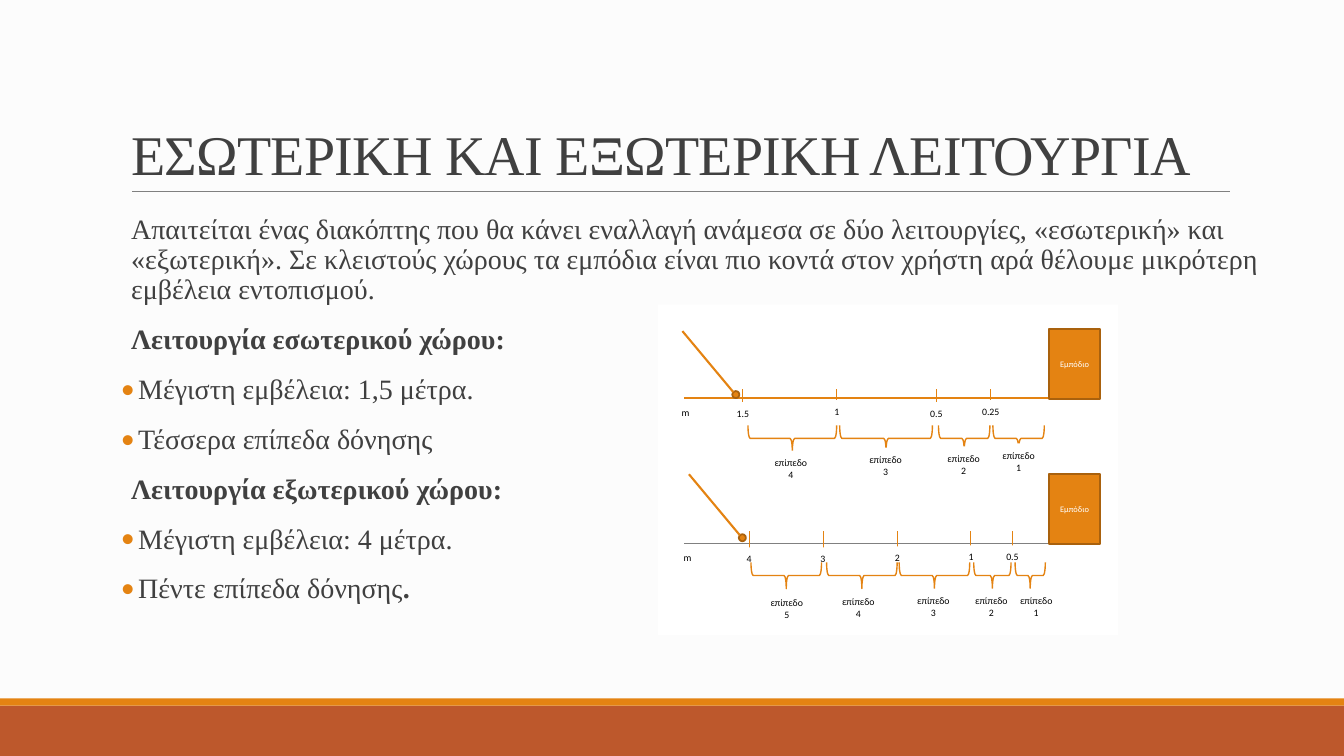
from lxml import etree
from pptx import Presentation
from pptx import util as u
from pptx.dml.color import RGBColor
from pptx.enum import shapes, text
from pptx.oxml.ns import qn

UNIT = u.Inches(0.1)  # one grid column or row
COLS, ROWS = 133.33, 75
ORANGE, BROWN, RUST = "E48312", "A9610D", "BD582C"
GREY, DARK, WHITE, BLACK = "808080", "404040", "FFFFFF", "000000"
SERIF, SANS = "Times New Roman", "Calibri"
KIND = shapes.MSO_SHAPE


def grid(*cells):
    return [round(c * UNIT) for c in cells]


def tint(code):
    return RGBColor.from_string(code)


class Board:
    """Holds the style and the current slide."""

    def __init__(self, deck):
        self.slide = deck.slides.add_slide(deck.slide_layouts[5])
        back = self.slide.background.fill
        back.solid()
        back.fore_color.rgb = tint("FCFCFC")

    def font(self, par, size, face, color, bold=False):
        font = par.font
        font.size, font.name, font.bold = u.Pt(size), face, bold
        font.color.rgb = tint(color)

    def title(self, words, box):
        head = self.slide.shapes.title
        head.left, head.top, head.width, head.height = grid(*box)
        frame = head.text_frame
        frame.text = words
        frame.word_wrap = True
        frame.auto_size = text.MSO_AUTO_SIZE.NONE
        frame.vertical_anchor = text.MSO_ANCHOR.BOTTOM
        par = frame.paragraphs[0]
        par.alignment, par.line_spacing = text.PP_ALIGN.LEFT, 0.85
        self.font(par, 40, SERIF, DARK)
        par.runs[0].font._element.set("spc", "-50")

    def body(self, items, box):
        frame = self.slide.shapes.add_textbox(*grid(*box)).text_frame
        frame.word_wrap = True
        frame.margin_left = frame.margin_right = 0
        for i, (words, style) in enumerate(items):
            par = frame.add_paragraph() if i else frame.paragraphs[0]
            par.line_spacing = 0.9
            par.space_before, par.space_after = u.Pt(12), u.Pt(2)
            self.font(par, 20, SERIF, DARK, style == "head")
            par.add_run().text = words
            props = par._p.get_or_add_pPr()
            props.set("marL", str(u.Inches(0.17 if style == "item" else 0.1)))
            if style == "item":
                props.set("indent", str(-u.Inches(0.17)))
                # The bullet goes ahead of the default run properties
                spot = props.find(qn("a:defRPr"))
                color = etree.Element(qn("a:buClr"))
                etree.SubElement(color, qn("a:srgbClr"), val=ORANGE)
                spot.addprevious(color)
                spot.addprevious(etree.Element(qn("a:buFont"), typeface=SANS))
                spot.addprevious(etree.Element(qn("a:buChar"), char="•"))
        return frame

    def shape(self, kind, box, fill=None, line=None, width=1.25):
        item = self.slide.shapes.add_shape(kind, *grid(*box))
        item.shadow.inherit = False
        if fill:
            item.fill.solid()
            item.fill.fore_color.rgb = tint(fill)
        else:
            item.fill.background()
        if line:
            item.line.color.rgb = tint(line)
            item.line.width = u.Pt(width)
        else:
            item.line.fill.background()
        return item

    def label(self, words, box, size=7, color=BLACK, fill=WHITE, line=None,
              mid=False, pad=(1, 0)):
        item = self.shape(KIND.RECTANGLE, box, fill, line)
        frame = item.text_frame
        frame.word_wrap = True
        frame.margin_left, frame.margin_right = grid(*pad)
        frame.margin_bottom = frame.margin_top if line else 0
        frame.vertical_anchor = text.MSO_ANCHOR.MIDDLE if line else text.MSO_ANCHOR.TOP
        frame.text = words
        par = frame.paragraphs[0]
        par.alignment = text.PP_ALIGN.CENTER if mid else text.PP_ALIGN.LEFT
        par.line_spacing, par.space_after = 1.07, u.Pt(8)
        self.font(par, size, SANS, color)

    def line(self, ends, color, width):
        link = self.slide.shapes.add_connector(
            shapes.MSO_CONNECTOR.STRAIGHT, *grid(*ends))
        link.line.color.rgb = tint(color)
        link.line.width = u.Pt(width)
        etree.SubElement(link._element.spPr, qn("a:effectLst"))

    def brace(self, left, right, top, deep=2.6):
        span = right - left
        box = ((left + right - deep) / 2, top + (deep - span) / 2, deep, span)
        self.shape(KIND.RIGHT_BRACE, box, line=ORANGE, width=1).rotation = 90

    def range(self, axis, look, rise, dot, marks, spans, unit):
        """Draws a cane, its distance axis and the vibration levels."""
        self.line((67.9, axis, 104.05, axis), *look)
        self.label("Εμπόδιο", (104.05, axis - 6.85, 5.1, 6.9), 6, WHITE,
                   ORANGE, BROWN, True, (0, 0))
        for x, *_ in marks:
            self.line((x, axis - rise, x, axis - rise + 1.8), ORANGE, 0.75)
        for _, words, left, top, wide in marks:
            self.label(words, (left, top, wide, 2.1))
        x, y = dot
        self.shape(KIND.OVAL, (x, y, 0.7, 0.7), ORANGE, BROWN)
        self.line((x + 0.1, y + 0.1, x - 4.95, y - 5.95), ORANGE, 1.5)
        for left, right, *_ in spans:
            self.brace(left, right, axis + (2.7 if axis < 50 else 1.9))
        for i, (_, _, mid, top) in enumerate(spans):
            level = len(spans) - i
            self.label(f"επίπεδο {level}", (mid - 2.2, top, 4.4, 3.4),
                       mid=True, pad=(0.5, 0.5))
        self.label("m", (*unit, 2.7, 2.4))


def main():
    deck = Presentation()
    deck.slide_width, deck.slide_height = grid(COLS, ROWS)
    board = Board(deck)

    # Footer bands and title rule
    board.shape(KIND.RECTANGLE, (0, 70, COLS, 5), RUST)
    board.shape(KIND.RECTANGLE, (0, 69.3, COLS, 0.7), ORANGE)
    board.line((13.1, 19, 122.05, 19), GREY, 0.5)

    # Title and text
    board.title("ΕΣΩΤΕΡΙΚΗ ΚΑΙ ΕΞΩΤΕΡΙΚΗ ΛΕΙΤΟΥΡΓΙΑ", (12, 3.1, 110, 15.9))
    frame = board.body([
        ("Απαιτείται ένας διακόπτης που θα κάνει εναλλαγή ανάμεσα σε δύο "
         "λειτουργίες, «εσωτερική» και «εξωτερική». Σε κλειστούς χώρους τα "
         "εμπόδια είναι πιο κοντά στον χρήστη αρά θέλουμε μικρότερη εμβέλεια "
         "εντοπισμού.", "text"),
        ("Λειτουργία εσωτερικού χώρου:", "head"),
        ("Μέγιστη εμβέλεια: 1,5 μέτρα.", "item"),
        ("Τέσσερα επίπεδα δόνησης", "item"),
        ("Λειτουργία εξωτερικού χώρου:", "head"),
        ("Μέγιστη εμβέλεια: 4 μέτρα.", "item"),
        ("Πέντε επίπεδα δόνησης", "item"),
    ], (12, 20.85, 113.9, 43))
    stop = frame.paragraphs[-1].add_run()
    stop.text, stop.font.bold = ".", True

    # Diagram panel
    board.shape(KIND.RECTANGLE, (65.3, 30.2, 45.6, 32.8), WHITE)

    # Indoor range: marks are tick, words, left, top, width;
    # spans are left, right, caption centre, caption top
    board.range(
        39.5, (ORANGE, 1), 0.9, (72.65, 38.8),
        [(73.7, "1.5", 72.1, 39.9, 4), (83, "1", 81.8, 39.7, 2.6),
         (92.9, "0.5", 91.3, 39.9, 4), (98.3, "0.25", 96.45, 39.7, 4)],
        [(74.2, 83, 78.45, 44.7), (83.3, 92.5, 87.85, 44.4),
         (93.1, 98.2, 95.6, 44.3), (98.5, 103.6, 101.05, 44)],
        (66.65, 39.8))

    # Outdoor range
    board.range(
        53.9, (GREY, 0.5), 1.2, (73.3, 53),
        [(74.35, "4", 73.1, 54.3, 3.4), (81.7, "3", 80.4, 54.3, 3.4),
         (89, "2", 87.8, 54.2, 3.4), (96.3, "1", 95.1, 54.1, 2.8),
         (100.45, "0.5", 98.85, 54.1, 3.4)],
        [(74.5, 81.5, 78.05, 58.6), (82, 89, 85.15, 58.5),
         (89.2, 96.2, 92.6, 58.4), (96.6, 100.3, 98.35, 58.4),
         (100.7, 103.7, 102.8, 58.4)],
        (66.85, 54.2))

    deck.save("out.pptx")


if __name__ == "__main__":
    main()
